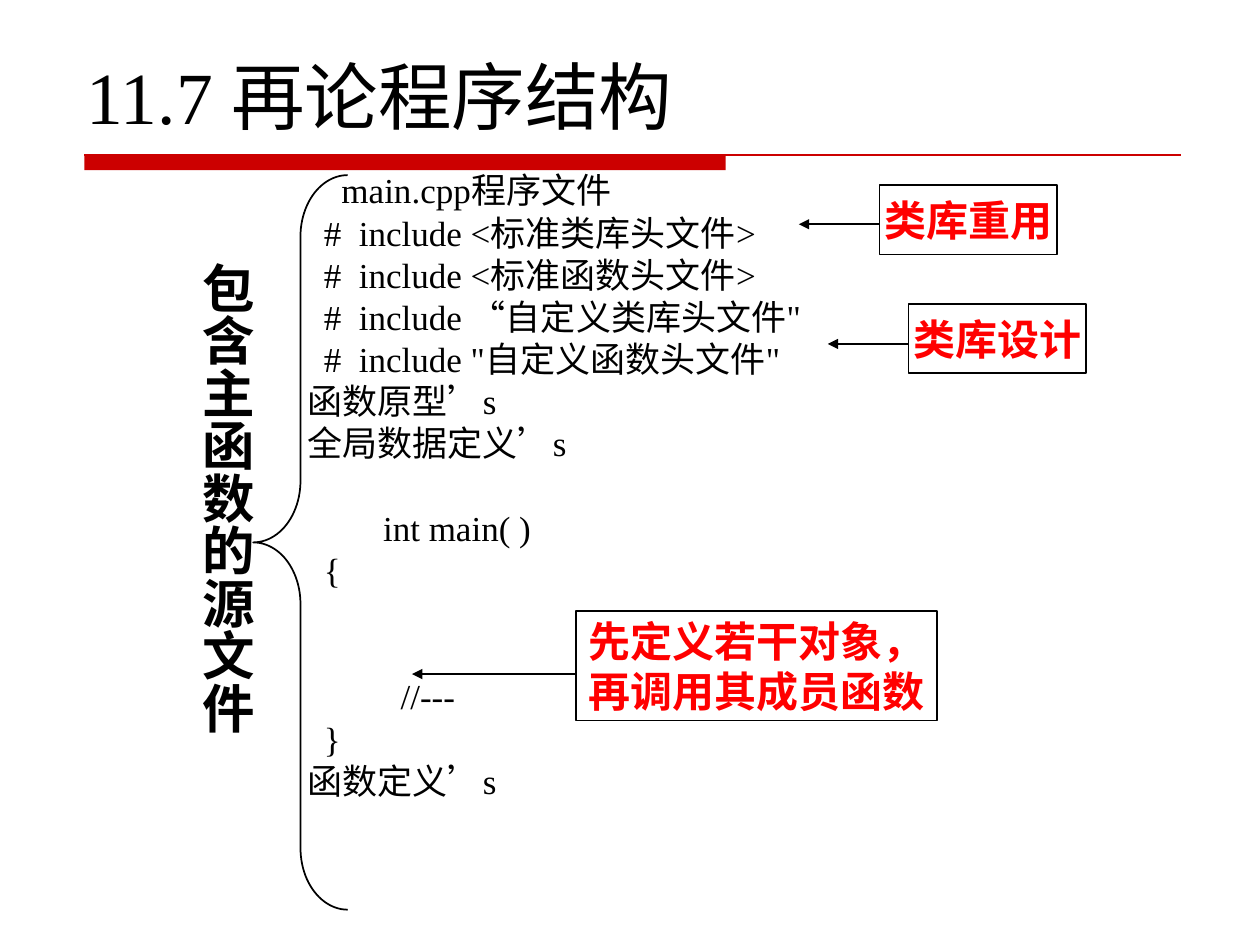
import lxml.etree
import pptx
import pptx.dml.color
import pptx.enum.shapes
import pptx.enum.text
import pptx.oxml.ns
import pptx.util

Inches = pptx.util.Inches
Pt = pptx.util.Pt
qn = pptx.oxml.ns.qn
SHAPE = pptx.enum.shapes.MSO_SHAPE
ALIGN = pptx.enum.text.PP_ALIGN
ANCHOR = pptx.enum.text.MSO_ANCHOR

COLOURS = {"ink": "000000", "rule": "CC0000", "accent": "FF0000", "paper": "FFFFFF"}
LATIN_FONT = "Times New Roman"
CHINESE_FONT = "Noto Sans CJK SC"
CODE_PITCH = 24.1

CODE_LINES = [
    ("main.cpp程序文件", 1.39, 0),
    ("#  include <标准类库头文件>", 1.25, 0),
    ("#  include <标准函数头文件>", 1.25, 0),
    ("#  include “自定义类库头文件\"", 1.25, 0),
    ("#  include \"自定义函数头文件\"", 1.25, 0),
    ("函数原型’s", 1.12, 0),
    ("全局数据定义’s", 1.12, 0),
    ("int main( )", 1.72, 1),
    ("{", 1.25, 0),
    ("//---", 1.86, 2),
    ("}", 1.25, 0),
    ("函数定义’s", 1.12, 0),
]

CALLOUTS = [
    (["类库重用"], (6.98, 1.47, 1.41, 0.55), 6.34, 1.78),
    (["类库设计"], (7.21, 2.41, 1.41, 0.55), 6.57, 2.73),
    (["先定义若干对象，", "再调用其成员函数"], (4.57, 4.85, 2.87, 0.87), 3.27, 5.35),
]


def colour(name):
    return pptx.dml.color.RGBColor.from_string(COLOURS[name])


def place(part, left, top, width, height):
    part.left, part.top = Inches(left), Inches(top)
    part.width, part.height = Inches(width), Inches(height)


def write(paragraph, text, size=20, ink="ink", bold=False, align=ALIGN.LEFT,
          pitch=None, before=0):
    paragraph.alignment = align
    paragraph.space_before = Pt(before)
    if pitch:
        paragraph.line_spacing = Pt(pitch)
    run = paragraph.add_run()
    run.text = text
    run.font.size = Pt(size)
    run.font.bold = bold
    run.font.name = LATIN_FONT
    run.font.color.rgb = colour(ink)
    chinese = lxml.etree.SubElement(run.font._element, qn("a:ea"))
    chinese.set("typeface", CHINESE_FONT)


def write_lines(frame, lines, **text_format):
    for index, line in enumerate(lines):
        paragraph = frame.add_paragraph() if index else frame.paragraphs[0]
        write(paragraph, line, **text_format)


def add_line(shapes, start, end, ink="ink", width=1, arrow=False):
    line = shapes.add_connector(pptx.enum.shapes.MSO_CONNECTOR.STRAIGHT,
                                *map(Inches, start + end))
    line.line.color.rgb = colour(ink)
    line.line.width = Pt(width)
    if arrow:
        head = lxml.etree.SubElement(line.line._get_or_add_ln(), qn("a:tailEnd"))
        head.set("type", "triangle")
    lxml.etree.SubElement(line._element.spPr, qn("a:effectLst"))


def add_outline(shapes, kind, box, fill=None, ink=None):
    outline = shapes.add_shape(kind, *map(Inches, box))
    outline.shadow.inherit = False
    if fill:
        outline.fill.solid()
        outline.fill.fore_color.rgb = colour(fill)
    else:
        outline.fill.background()
    if ink:
        outline.line.color.rgb = colour(ink)
        outline.line.width = Pt(1)
    else:
        outline.line.fill.background()
    return outline


def add_callout(slide, lines, box, target, level):
    callout = slide.shapes.add_group_shape()
    label = add_outline(callout.shapes, SHAPE.RECTANGLE, box, "paper", "ink")
    frame = label.text_frame
    frame.word_wrap = False
    frame.vertical_anchor = ANCHOR.MIDDLE
    write_lines(frame, lines, size=24, ink="accent", bold=True,
                align=ALIGN.CENTER, pitch=28.7)
    add_line(callout.shapes, (box[0], level), (target, level), arrow=True)


def fill_title(title):
    place(title, 0.4, 0.13, 7.83, 1.25)
    frame = title.text_frame
    frame.auto_size = pptx.enum.text.MSO_AUTO_SIZE.NONE
    frame.margin_left = Inches(0.29)
    frame.vertical_anchor = ANCHOR.MIDDLE
    write_lines(frame, ["11.7 再论程序结构"], size=42)


def fill_code(code):
    place(code, 1.22, 1.33, 6.36, 6.17)
    frame = code.text_frame
    frame.auto_size = pptx.enum.text.MSO_AUTO_SIZE.NONE
    frame.margin_top = Inches(0.01)
    for index, (text, indent, skipped) in enumerate(CODE_LINES):
        paragraph = frame.add_paragraph() if index else frame.paragraphs[0]
        write(paragraph, text, pitch=CODE_PITCH, before=skipped * CODE_PITCH)
        layout = paragraph._p.get_or_add_pPr()
        layout.set("marL", str(Inches(indent)))
        layout.set("indent", "0")
        lxml.etree.SubElement(layout, qn("a:buNone"))


def add_vertical_label(slide, text):
    label = slide.shapes.add_textbox(*map(Inches, (1.37, 1.98, 0.86, 4.2)))
    frame = label.text_frame
    frame.word_wrap = True
    frame.vertical_anchor = ANCHOR.MIDDLE
    frame.margin_top = frame.margin_bottom = Inches(0.1)
    frame.margin_left = frame.margin_right = Inches(0.05)
    frame._txBody.bodyPr.set("vert", "eaVert")
    write_lines(frame, [text], size=30, bold=True)


def main():
    deck = pptx.Presentation()
    deck.slide_width, deck.slide_height = Inches(10), Inches(7.5)
    slide = deck.slides.add_slide(deck.slide_layouts[1])
    fill_title(slide.shapes.title)
    fill_code(slide.placeholders[1])

    add_outline(slide.shapes, SHAPE.RECTANGLE, (0.67, 1.23, 5.09, 0.12), "rule")
    add_line(slide.shapes, (0.67, 1.23), (9.37, 1.23), "rule", 0.75)
    for callout in CALLOUTS:
        add_callout(slide, *callout)

    brace = add_outline(slide.shapes, SHAPE.LEFT_BRACE, (2.01, 1.39, 0.75, 5.83), ink="ink")
    brace.adjustments[0] = 0.65
    brace.adjustments[1] = 0.5
    add_vertical_label(slide, "包含主函数的源文件")
    deck.save("out.pptx")


if __name__ == "__main__":
    main()
